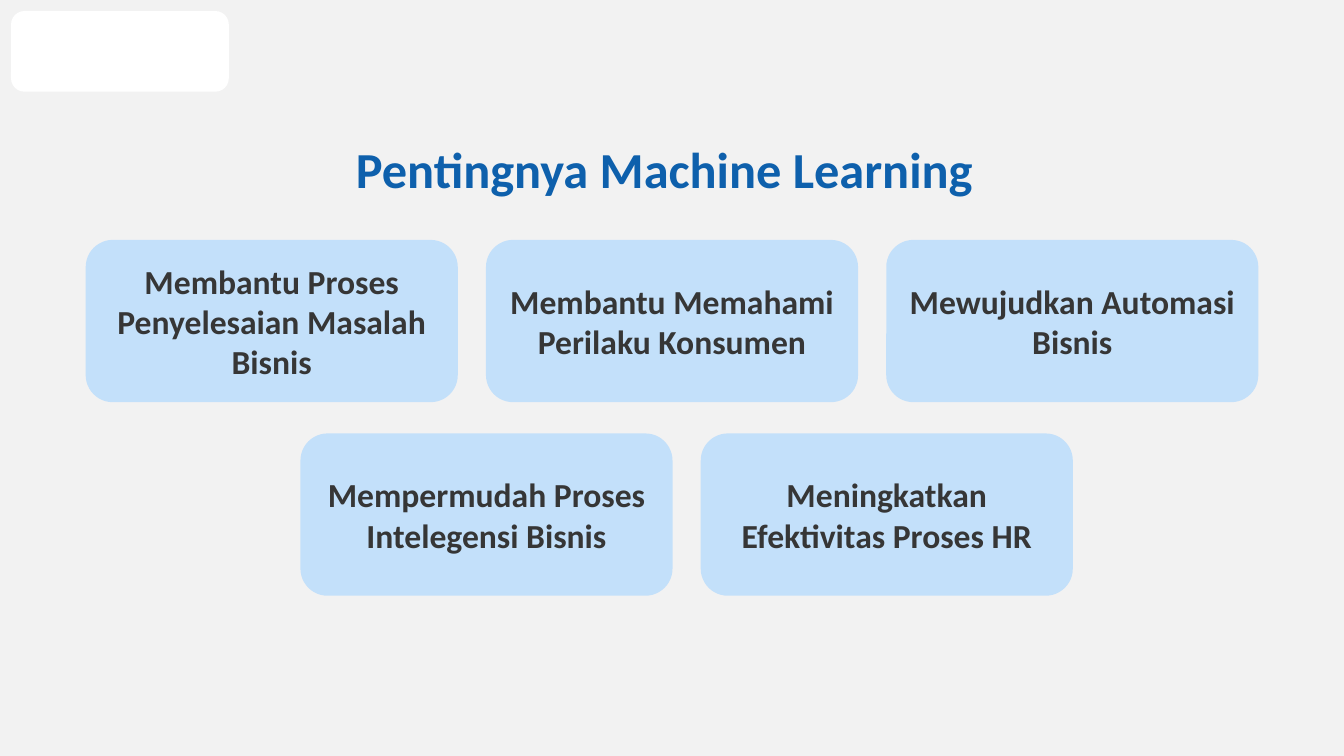
from dataclasses import dataclass

from pptx import Presentation
from pptx.dml.color import RGBColor
from pptx.enum.shapes import MSO_SHAPE
from pptx.enum.text import MSO_ANCHOR, PP_ALIGN
from pptx.util import Inches, Pt

TITLE = "Pentingnya Machine Learning"
# Left edge and top of each row, then its benefits
BENEFIT_ROWS = [
    (0.85, 2.38, [
        "Membantu Proses Penyelesaian Masalah Bisnis",
        "Membantu Memahami Perilaku Konsumen",
        "Mewujudkan Automasi Bisnis",
    ]),
    (2.98, 4.3, [
        "Mempermudah Proses Intelegensi Bisnis",
        "Meningkatkan Efektivitas Proses HR",
    ]),
]
CARD_WIDTH, CARD_HEIGHT, CARD_STEP = 3.69, 1.61, 3.97


@dataclass(frozen=True)
class Theme:
    font: str = "Calibri"
    background: str = "F2F2F2"
    badge: str = "FFFFFF"
    card: str = "C3E0FA"
    title: str = "0E60AC"
    text: str = "363636"
    title_size: int = 36
    card_size: int = 24


THEME = Theme()


def write_centred(frame, text, size, color):
    frame.word_wrap = True
    frame.text = text
    paragraph = frame.paragraphs[0]
    paragraph.alignment = PP_ALIGN.CENTER
    font = paragraph.runs[0].font
    font.name, font.size, font.bold = THEME.font, Pt(size), True
    font.color.rgb = RGBColor.from_string(color)
    return paragraph


def add_rounded(slide, left, top, width, height, color):
    rounded = slide.shapes.add_shape(
        MSO_SHAPE.ROUNDED_RECTANGLE,
        Inches(left), Inches(top), Inches(width), Inches(height))
    rounded.shadow.inherit = False
    rounded.fill.solid()
    rounded.fill.fore_color.rgb = RGBColor.from_string(color)
    rounded.line.fill.background()
    return rounded


def add_title(slide):
    title = slide.shapes.title
    title.left, title.top = Inches(0.85), Inches(1.39)
    title.width, title.height = Inches(11.48), Inches(0.68)
    title.text_frame.vertical_anchor = MSO_ANCHOR.TOP
    paragraph = write_centred(
        title.text_frame, TITLE, THEME.title_size, THEME.title)
    paragraph.line_spacing = 0.9
    paragraph.space_before = Pt(0)


def add_cards(slide):
    for left, top, benefits in BENEFIT_ROWS:
        for column, benefit in enumerate(benefits):
            card = add_rounded(slide, left + column * CARD_STEP, top,
                               CARD_WIDTH, CARD_HEIGHT, THEME.card)
            card.text_frame.vertical_anchor = MSO_ANCHOR.MIDDLE
            write_centred(card.text_frame, benefit, THEME.card_size, THEME.text)


def main():
    deck = Presentation()
    deck.slide_width, deck.slide_height = Inches(13.33), Inches(7.5)
    slide = deck.slides.add_slide(deck.slide_layouts.get_by_name("Title Only"))
    slide.background.fill.solid()
    slide.background.fill.fore_color.rgb = RGBColor.from_string(THEME.background)
    add_rounded(slide, 0.11, 0.11, 2.16, 0.8, THEME.badge)
    add_title(slide)
    add_cards(slide)
    deck.save("out.pptx")


if __name__ == "__main__":
    main()
